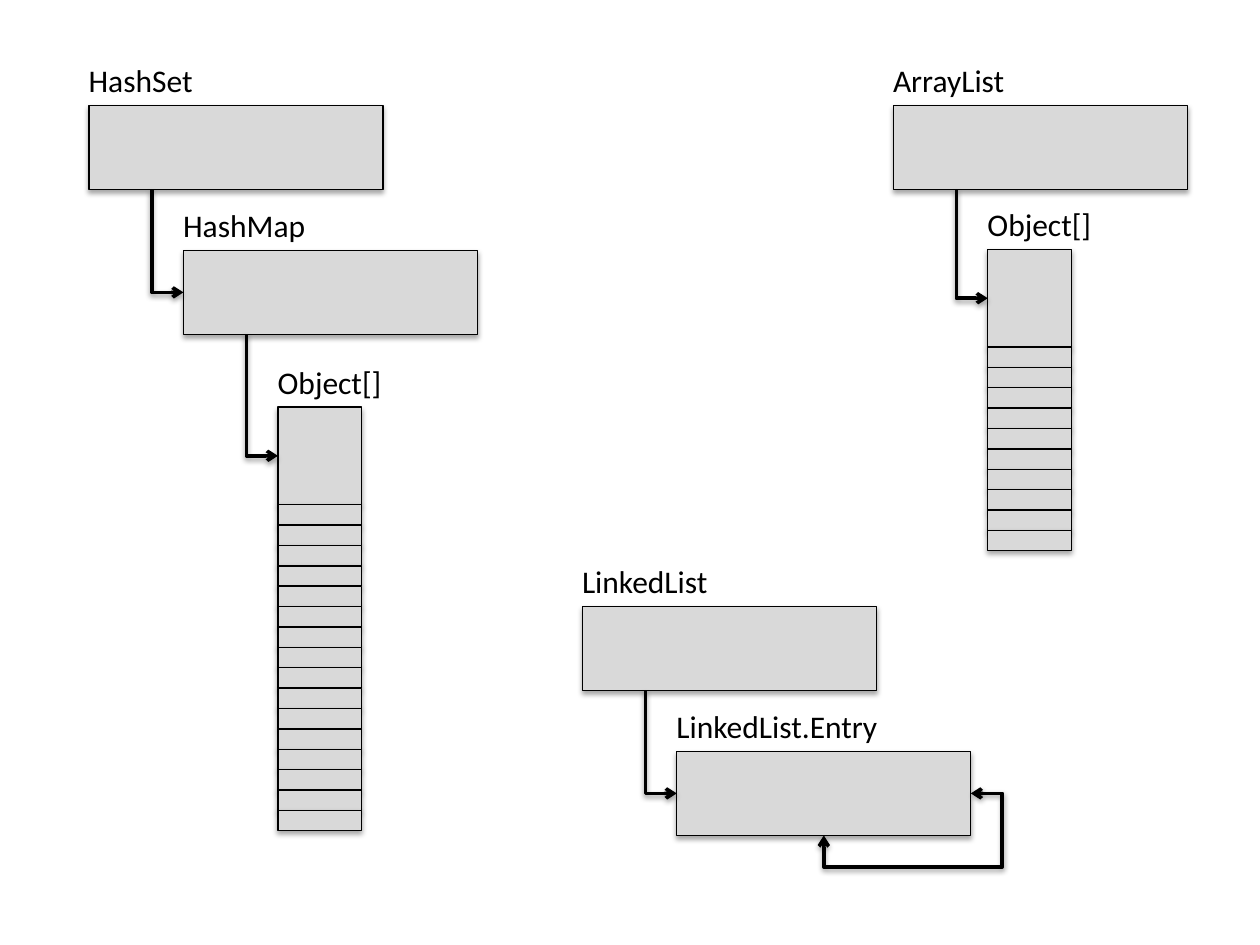
from dataclasses import dataclass

from lxml.etree import SubElement
from pptx import Presentation
from pptx.dml.color import RGBColor
from pptx.enum.shapes import MSO_CONNECTOR as Connector, MSO_SHAPE as Shape
from pptx.enum.text import MSO_AUTO_SIZE as AutoSize
from pptx.oxml.ns import qn
from pptx.util import Pt


@dataclass(frozen=True)
class Theme:
    """Colours, type and line sizes."""
    fill: RGBColor = RGBColor(0xD9, 0xD9, 0xD9)
    ink: RGBColor = RGBColor(0, 0, 0)
    font: str = "Calibri"
    text_size: float = 18
    outline: float = 0.75
    arrow: float = 2


@dataclass(frozen=True)
class Node:
    """A labelled object; an array has a narrow header above its cells."""
    label: str
    left: float
    top: float
    label_width: float
    cells: int = 0

    @property
    def width(self) -> float:
        return 48 if self.cells else 168

    @property
    def height(self) -> float:
        return 55.8 if self.cells else 48

    @property
    def bottom(self) -> float:
        return self.top + self.height

    @property
    def middle(self) -> float:
        return self.top + self.height / 2


THEME = Theme()
CELL_HEIGHT, CELL_PITCH = 11.6, 11.65
REFERENCE_INSET = 36

HASH_SET = [
    Node("HashSet", 50.8, 60.3, 74.2),
    Node("HashMap", 104.8, 143.1, 84.2),
    Node("Object[]", 158.8, 232.6, 74.2, cells=16),
]
ARRAY_LIST = [
    Node("ArrayList", 510.4, 60.3, 79.9),
    Node("Object[]", 564.4, 142.5, 74.2, cells=10),
]
LINKED_LIST = [
    Node("LinkedList", 332.7, 346.6, 87.8),
    Node("LinkedList.Entry", 386.7, 429.4, 131.8),
]


def add_shadow(shape, opacity: int, distance: float) -> None:
    """Give a shape or connector a soft shadow straight below it."""
    effects = SubElement(shape._element.spPr, qn("a:effectLst"))
    shadow = SubElement(effects, qn("a:outerShdw"), blurRad=str(Pt(3.1)),
                        dist=str(Pt(distance)), dir="5400000", rotWithShape="0")
    color = SubElement(shadow, qn("a:srgbClr"), val=str(THEME.ink))
    SubElement(color, qn("a:alpha"), val=str(opacity * 1000))


def add_box(shapes, left: float, top: float, width: float, height: float) -> None:
    """Draw one grey outlined rectangle."""
    box = shapes.add_shape(Shape.RECTANGLE, Pt(left), Pt(top), Pt(width), Pt(height))
    box.fill.solid()
    box.fill.fore_color.rgb = THEME.fill
    box.line.color.rgb = THEME.ink
    box.line.width = Pt(THEME.outline)
    add_shadow(box, 35, 1.8)


def add_node(shapes, node: Node) -> None:
    """Draw a node with its label and any array cells."""
    label = shapes.add_textbox(Pt(node.left - 7.2), Pt(node.top - 28.8),
                               Pt(node.label_width), Pt(28.8))
    frame = label.text_frame
    frame.word_wrap = False
    frame.auto_size = AutoSize.SHAPE_TO_FIT_TEXT
    paragraph = frame.paragraphs[0]
    paragraph.text = node.label
    paragraph.font.name = THEME.font
    paragraph.font.size = Pt(THEME.text_size)
    paragraph.font.color.rgb = THEME.ink
    add_box(shapes, node.left, node.top, node.width, node.height)
    for index in range(node.cells):
        add_box(shapes, node.left, node.bottom + index * CELL_PITCH,
                node.width, CELL_HEIGHT)


def add_arrow(shapes, start: tuple[float, float], end: tuple[float, float],
              preset: str, rotation: int, adjustments: tuple[int, ...] = (),
              both_ends: bool = False) -> None:
    """Draw a bent arrow leaving vertically, as a quarter-turned connector."""
    center_x, center_y = (start[0] + end[0]) / 2, (start[1] + end[1]) / 2
    half_x, half_y = (end[0] - start[0]) / 2, (end[1] - start[1]) / 2
    turn = 1 if rotation == 90 else -1
    connector = shapes.add_connector(
        Connector.ELBOW,
        Pt(center_x - turn * half_y), Pt(center_y + turn * half_x),
        Pt(center_x + turn * half_y), Pt(center_y - turn * half_x))
    connector.line.color.rgb = THEME.ink
    connector.line.width = Pt(THEME.arrow)
    properties = connector._element.spPr
    properties.find(qn("a:xfrm")).set("rot", str(rotation * 60000))
    geometry = properties.find(qn("a:prstGeom"))
    geometry.set("prst", preset)
    guides = geometry.find(qn("a:avLst"))
    if guides is None:
        guides = SubElement(geometry, qn("a:avLst"))
    for number, value in enumerate(adjustments, 1):
        SubElement(guides, qn("a:gd"), name=f"adj{number}", fmla=f"val {value}")
    line = properties.find(qn("a:ln"))
    for tag in ("a:headEnd", "a:tailEnd") if both_ends else ("a:tailEnd",):
        SubElement(line, qn(tag), type="arrow")
    add_shadow(connector, 38, 1.6)


def add_chain(shapes, nodes: list[Node]) -> None:
    """Draw nodes, each referring to the next one."""
    for node in nodes:
        add_node(shapes, node)
    for owner, target in zip(nodes, nodes[1:]):
        add_arrow(shapes, (owner.left + REFERENCE_INSET, owner.bottom),
                  (target.left, target.middle), "bentConnector2", 270)


def main() -> None:
    """Build and save the slide."""
    presentation = Presentation()
    presentation.slide_width, presentation.slide_height = Pt(720), Pt(540)
    slide = presentation.slides.add_slide(presentation.slide_layouts[6])
    for nodes in (HASH_SET, ARRAY_LIST):
        add_chain(slide.shapes.add_group_shape().shapes, nodes)
    add_chain(slide.shapes, LINKED_LIST)
    entry = LINKED_LIST[-1]
    add_arrow(slide.shapes, (entry.left + entry.width / 2, entry.bottom),
              (entry.left + entry.width, entry.middle), "bentConnector4", 90,
              adjustments=(-75000, 121400), both_ends=True)
    presentation.save("out.pptx")


main()
